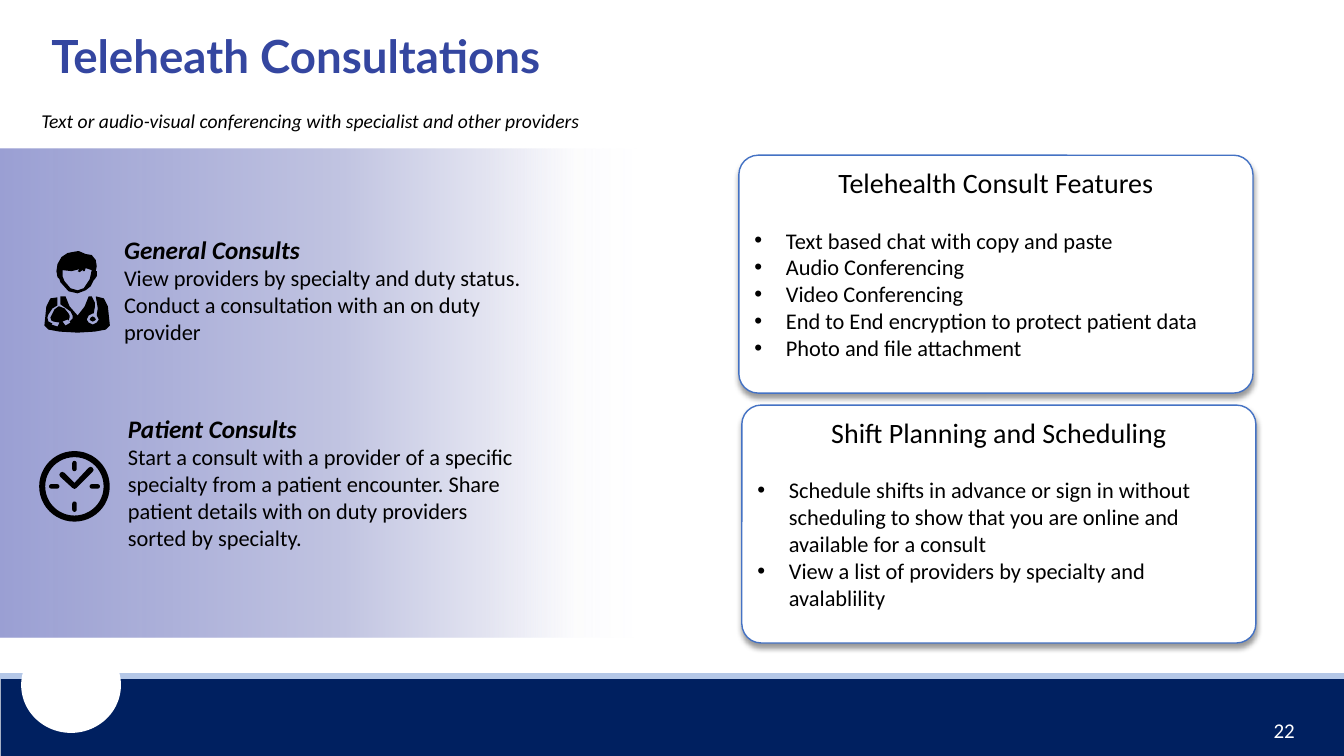
from dataclasses import dataclass
from lxml import etree
from pptx import Presentation
from pptx import util as u
from pptx.dml.color import RGBColor as Rgb
from pptx.enum import shapes, text
from pptx.oxml.ns import nsdecls, qn

Pt, Kind, Side = u.Pt, shapes.MSO_SHAPE, text.PP_ALIGN


@dataclass(frozen=True)
class Theme:
    """Hold the colours, fonts and type sizes."""
    title: str = "3446A0"
    navy: str = "002060"
    rule: str = "B4C7E7"
    edge: str = "4472C4"
    ink: str = "000000"
    white: str = "FFFFFF"
    fade: tuple = ((0, "989DD2", 97), (54, "C1C4E1", 100), (68, "D6D8EB", 100),
                   (75, "E1E2F0", 100), (90, "E1E2F0", 11), (100, "E1E2F0", 0))
    head: str = "Lato"
    body: str = "Calibri"
    big: float = 32.6
    cap: float = 20
    lead: float = 18
    text: float = 16
    note: float = 14
    page: float = 15


T = Theme()
TORSO = [(44, 45), (47, 45), (50, 51), (50, 56), (49, 62), (48, 62), (44, 64),
         (42, 68), (44, 71), (48, 73), (52, 71), (54, 68), (52, 64), (52, 63),
         (53, 57), (51, 45), (59, 47), (63, 55), (65, 74), (61, 78), (50, 80),
         (33, 81), (15, 80), (4, 78), (0, 74), (2, 55), (6, 47), (13, 46),
         (13, 54), (8, 57), (4, 63), (3, 66), (4, 70), (8, 72), (7, 73), (13, 75),
         (15, 71), (9, 70), (7, 69), (6, 66), (7, 64), (10, 58), (14, 55), (15, 55),
         (20, 57), (24, 62), (25, 64), (25, 66), (24, 69), (23, 68), (18, 70),
         (21, 74), (26, 71), (25, 70), (28, 67), (28, 64), (26, 60), (16, 53),
         (16, 45), (21, 45), (25, 55), (33, 64), (40, 55)]
HAIR = [(51, 20), (52, 20), (52, 25), (50, 28), (49, 29), (46, 35), (41, 39),
        (33, 42), (24, 40), (16, 31), (15, 28), (13, 26), (12, 20), (13, 13),
        (17, 6), (23, 2), (28, 1), (34, 0), (41, 3), (47, 4), (51, 9), (52, 15)]
FACE = [(18, 19), (18, 25), (20, 30), (26, 37), (33, 39), (39, 37), (45, 28),
        (47, 19), (41, 17), (40, 20), (38, 20), (39, 18), (35, 21), (33, 20),
        (35, 18), (27, 20)]
DISC = [(50, 66), (48, 65), (46, 66), (45, 68), (46, 69), (48, 70), (50, 69), (51, 68)]
HANDS = [(1, 10), (13, 21), (15, 22), (17, 21), (33, 5), (34, 3), (33, 1), (31, 0),
         (29, 1), (15, 16), (5, 6), (3, 5), (1, 6), (0, 8)]


def put(item, **vals):
    """Set each given value on an item."""
    for name, val in vals.items():
        setattr(item, name, val)


def paint(shape, fill, edge=None):
    """Give a shape a flat fill, and an edge or none."""
    shape.shadow.inherit = False
    shape.fill.solid()
    shape.fill.fore_color.rgb = Rgb.from_string(fill)
    if edge:
        shape.line.color.rgb = Rgb.from_string(edge)
        shape.line.width = Pt(1)
    else:
        shape.line.fill.background()


def form(slide, kind, box, fill, edge=None):
    """Add a painted preset shape."""
    shape = slide.shapes.add_shape(kind, *map(Pt, box))
    paint(shape, fill, edge)
    return shape


def trace(slide, spot, *rings):
    """Add a filled outline drawn in hundredths of an inch."""
    pen = slide.shapes.build_freeform(*rings[0][0], scale=Pt(0.72))
    for num, ring in enumerate(rings):
        if num:
            pen.move_to(*ring[0])
        pen.add_line_segments(ring[1:], close=True)
    paint(pen.convert_to_shape(*map(Pt, spot)), T.ink)


def frame(shape, pad=(0, 0, 0, 0), anchor=text.MSO_ANCHOR.TOP):
    """Set up the text frame of a shape."""
    left, top, right, low = map(Pt, pad)
    put(shape.text_frame, word_wrap=True, auto_size=text.MSO_AUTO_SIZE.NONE,
        vertical_anchor=anchor, margin_left=left, margin_top=top,
        margin_right=right, margin_bottom=low)
    return shape.text_frame


def write(body, words, size, color=T.ink, side=Side.LEFT, dot=False, name=T.body, **look):
    """Write one paragraph, with a bullet if asked."""
    para = body.paragraphs[0]
    if para.runs:
        para = body.add_paragraph()
    para.alignment = side
    if dot:
        props = para._p.get_or_add_pPr()
        props.set("marL", str(Pt(22.5)))
        props.set("indent", str(Pt(-22.5)))
        etree.SubElement(props, qn("a:buFont")).set("typeface", "Arial")
        etree.SubElement(props, qn("a:buChar")).set("char", "•")
    run = para.add_run()
    run.text = words
    put(run.font, size=Pt(size), name=name, **look)
    run.font.color.rgb = Rgb.from_string(color)
    return para


def label(slide, box, **setup):
    """Add a text box and return its frame."""
    return frame(slide.shapes.add_textbox(*map(Pt, box)), **setup)


def header(slide, box):
    """Place the title and the line beneath it."""
    x, y, w, h = box
    title = slide.shapes.title
    put(title, left=Pt(x), top=Pt(y), width=Pt(w), height=Pt(h))
    body = frame(title, (6.5, 3, 6.5, 3), text.MSO_ANCHOR.MIDDLE)
    para = write(body, "Teleheath Consultations", T.big, T.title, name=T.head, bold=True)
    para.line_spacing = 0.9
    note = label(slide, (x - 0.7, y + 87.8, 656.6, 17.3))
    write(note, "Text or audio-visual conferencing with specialist and other providers",
          T.note, italic=True)


def footer(slide, box):
    """Place the bar, its rule, the disc and the page number."""
    x, y, w, h = box
    form(slide, Kind.RECTANGLE, (x + 0.5, y, w, h), T.navy)
    rule = slide.shapes.add_connector(
        shapes.MSO_CONNECTOR.STRAIGHT, Pt(x + w), Pt(y - 1.5), Pt(x), Pt(y - 1.5))
    rule.line.color.rgb = Rgb.from_string(T.rule)
    rule.line.width = Pt(4.5)
    etree.SubElement(rule._element.spPr, qn("a:effectLst"))
    form(slide, Kind.FLOWCHART_CONNECTOR, (x + 15.1, y - 29.5, 71.3, 68.4), T.white)
    page = label(slide, (x + w - 244, y + 22.3, 216, 28.8), pad=(7.2, 3.6, 7.2, 3.6),
                 anchor=text.MSO_ANCHOR.MIDDLE)
    write(page, "22", T.page, T.white, Side.RIGHT)


def fade(slide, box):
    """Place the band that fades out to the right."""
    band = form(slide, Kind.RECTANGLE, box, T.white)
    stops = "".join(
        f'<a:gs pos="{pos * 1000}"><a:srgbClr val="{hue}"><a:alpha val="{part * 1000}"/>'
        "</a:srgbClr></a:gs>" for pos, hue, part in T.fade)
    grad = etree.fromstring(f'<a:gradFill {nsdecls("a")} rotWithShape="1"><a:gsLst>{stops}'
                            '</a:gsLst><a:lin ang="0" scaled="0"/></a:gradFill>')
    props = band._element.spPr
    props.replace(props.find(qn("a:solidFill")), grad)


def topic(slide, box, head, words):
    """Place a consult heading and its text."""
    body = label(slide, box, pad=(0, 3.6, 0, 3.6), anchor=text.MSO_ANCHOR.MIDDLE)
    write(body, head, T.lead, bold=True, italic=True)
    write(body, words, T.text)


def clock(slide, box):
    """Place a clock face with four ticks and hands."""
    x, y, w, h = box
    ring = form(slide, Kind.DONUT, box, T.ink)
    ring.adjustments[0] = 0.086
    mid, cen = x + w / 2, y + h / 2
    for dx, dy in ((0, -1), (1, 0), (0, 1), (-1, 0)):
        tw, th = (7.4, 3.2) if dx else (3.2, 7.4)
        tick = form(slide, Kind.ROUNDED_RECTANGLE,
                    (mid + dx * 14.5 - tw / 2, cen + dy * 14.5 - th / 2, tw, th), T.ink)
        tick.adjustments[0] = 0.5
    trace(slide, (mid - 10.8, cen - 14), HANDS)


def panel(slide, box, head, items):
    """Place a rounded panel with a heading and bullets."""
    card = form(slide, Kind.ROUNDED_RECTANGLE, box, T.white, T.edge)
    card.adjustments[0] = 0.081
    glow = etree.fromstring(
        f'<a:outerShdw {nsdecls("a")} blurRad="{Pt(4)}" dist="{Pt(3)}" dir="5400000" '
        f'algn="t" rotWithShape="0"><a:srgbClr val="{T.ink}"><a:alpha val="40000"/>'
        "</a:srgbClr></a:outerShdw>")
    card._element.spPr.find(qn("a:effectLst")).append(glow)
    body = frame(card, (7.2, 3.6, 7.2, 3.6))
    write(body, head, T.cap, side=Side.CENTER).space_after = Pt(19.5)
    for item in items:
        write(body, item, T.text, dot=True)


def main():
    """Build the slide and save it."""
    deck = Presentation()
    put(deck, slide_width=Pt(960), slide_height=Pt(540))
    slide = deck.slides.add_slide(deck.slide_layouts[5])
    footer(slide, (0, 484.6, 960, 56))
    fade(slide, (0, 106.5, 455, 349.2))
    header(slide, (30.2, -10.1, 828, 104.4))
    topic(slide, (88.6, 188, 311, 37.4), "General Consults",
          "View providers by specialty and duty status. "
          "Conduct a consultation with an on duty provider")
    topic(slide, (91.4, 325.5, 287.3, 37.4), "Patient Consults",
          "Start a consult with a provider of a specific specialty from a patient encounter. "
          "Share patient details with on duty providers sorted by specialty.")
    trace(slide, (31.7, 179.3), TORSO, HAIR, FACE, DISC)
    clock(slide, (28, 322.2, 50.4, 50.4))
    panel(slide, (527.8, 110.9, 367.2, 169.9), "Telehealth Consult Features",
          ["Text based chat with copy and paste", "Audio Conferencing",
           "Video Conferencing", "End to End encryption to protect patient data",
           "Photo and file attachment"])
    panel(slide, (529.9, 289.4, 367.2, 169.9), "Shift Planning and Scheduling",
          ["Schedule shifts in advance or sign in without scheduling to show that "
           "you are online and available for a consult",
           "View a list of providers by specialty and avalablility"])
    deck.save("out.pptx")


if __name__ == "__main__":
    main()
